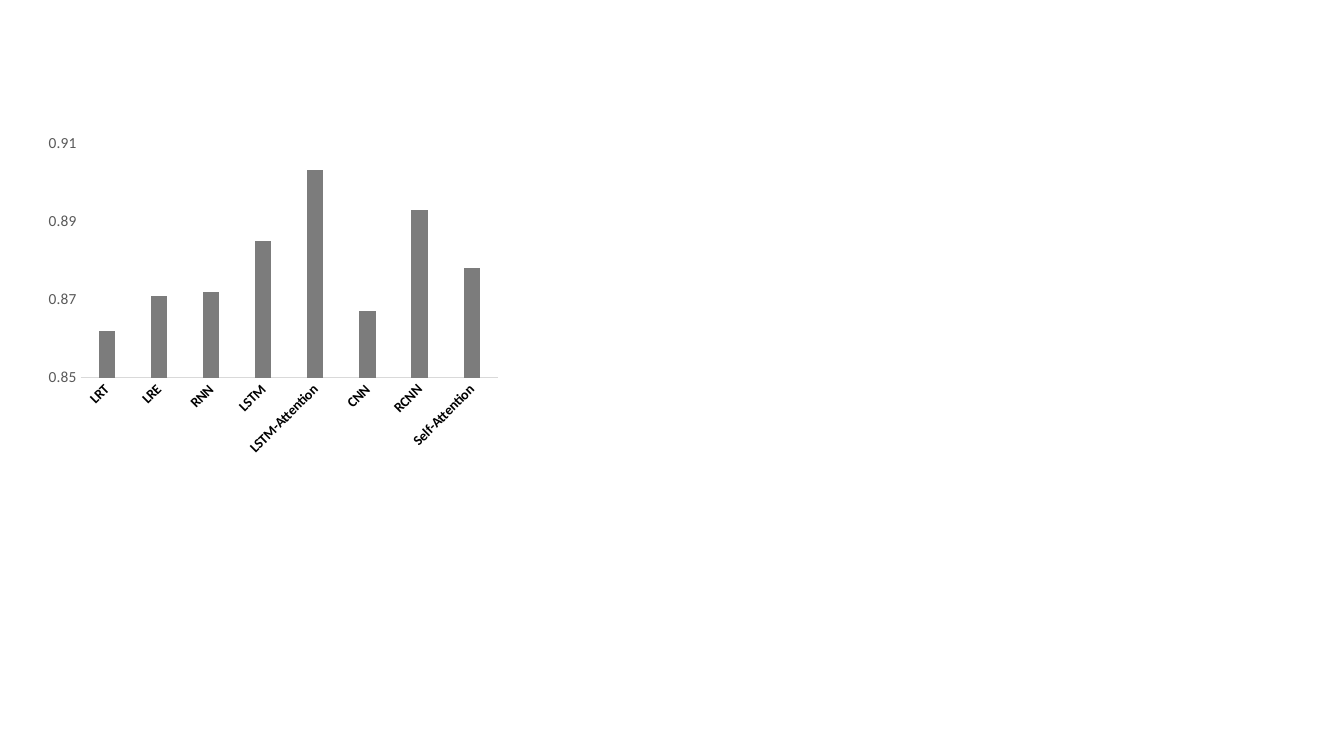
"""Build a slide with a column chart that compares the scores of eight models."""
import pptx
import pptx.chart.data
import pptx.dml.color
import pptx.enum.chart
import pptx.util

Inches = pptx.util.Inches
Pt = pptx.util.Pt
RGBColor = pptx.dml.color.RGBColor

BLACK = RGBColor(0x00, 0x00, 0x00)
BAR_GRAY = RGBColor(0x7C, 0x7C, 0x7C)
LABEL_GRAY = RGBColor(0x59, 0x59, 0x59)
LINE_GRAY = RGBColor(0xD9, 0xD9, 0xD9)

SCORES = {
    "LRT": 0.862,
    "LRE": 0.871,
    "RNN": 0.872,
    "LSTM": 0.885,
    "LSTM-Attention": 0.903,
    "CNN": 0.867,
    "RCNN": 0.893,
    "Self-Attention": 0.878,
}
CHART_BOX = (0.39, 1.26, 4.64, 3.33)
SCORE_SCALE = {"minimum_scale": 0.85, "maximum_scale": 0.91, "major_unit": 0.02}
BAR_SPACING = {"gap_width": 219, "overlap": -27, "vary_by_categories": False}
MODEL_FONT = {"name": "Calibri", "size": Pt(10), "bold": True}
SCORE_FONT = {"name": "Calibri", "size": Pt(11), "bold": False}
LABEL_ROTATION = -45


def apply(target, values):
    """Set each named attribute of the target."""
    for name, value in values.items():
        setattr(target, name, value)


def format_axis(axis, font_values, color):
    """Remove ticks and gridlines and format the labels of an axis."""
    no_mark = pptx.enum.chart.XL_TICK_MARK.NONE
    apply(axis, {
        "has_major_gridlines": False,
        "has_title": False,
        "major_tick_mark": no_mark,
        "minor_tick_mark": no_mark,
    })
    apply(axis.tick_labels.font, font_values)
    axis.tick_labels.font.color.rgb = color


deck = pptx.Presentation()
apply(deck, {"slide_width": Inches(13.33), "slide_height": Inches(7.5)})
page = deck.slides.add_slide(deck.slide_layouts[6])

score_data = pptx.chart.data.CategoryChartData()
score_data.categories = list(SCORES)
score_data.add_series("Series 1", list(SCORES.values()))
chart = page.shapes.add_chart(
    pptx.enum.chart.XL_CHART_TYPE.COLUMN_CLUSTERED,
    *map(Inches, CHART_BOX),
    score_data,
).chart
apply(chart, {"has_legend": False, "has_title": False})
apply(chart.font, {"name": "Calibri", "size": Pt(10)})
chart.font.color.rgb = BLACK

plot = chart.plots[0]
apply(plot, BAR_SPACING)
bar_fill = plot.series[0].format.fill
bar_fill.solid()
bar_fill.fore_color.rgb = BAR_GRAY

model_axis = chart.category_axis
format_axis(model_axis, MODEL_FONT, BLACK)
model_axis.format.line.color.rgb = LINE_GRAY
model_axis.format.line.width = Pt(0.75)
label_body = model_axis._element.find(".//" + pptx.oxml.ns.qn("a:bodyPr"))
label_body.set("rot", str(LABEL_ROTATION * 60000))

score_axis = chart.value_axis
format_axis(score_axis, SCORE_FONT, LABEL_GRAY)
apply(score_axis, SCORE_SCALE)
score_axis.format.line.fill.background()
apply(score_axis.tick_labels, {"number_format": "0.00", "number_format_is_linked": False})

deck.save("out.pptx")
